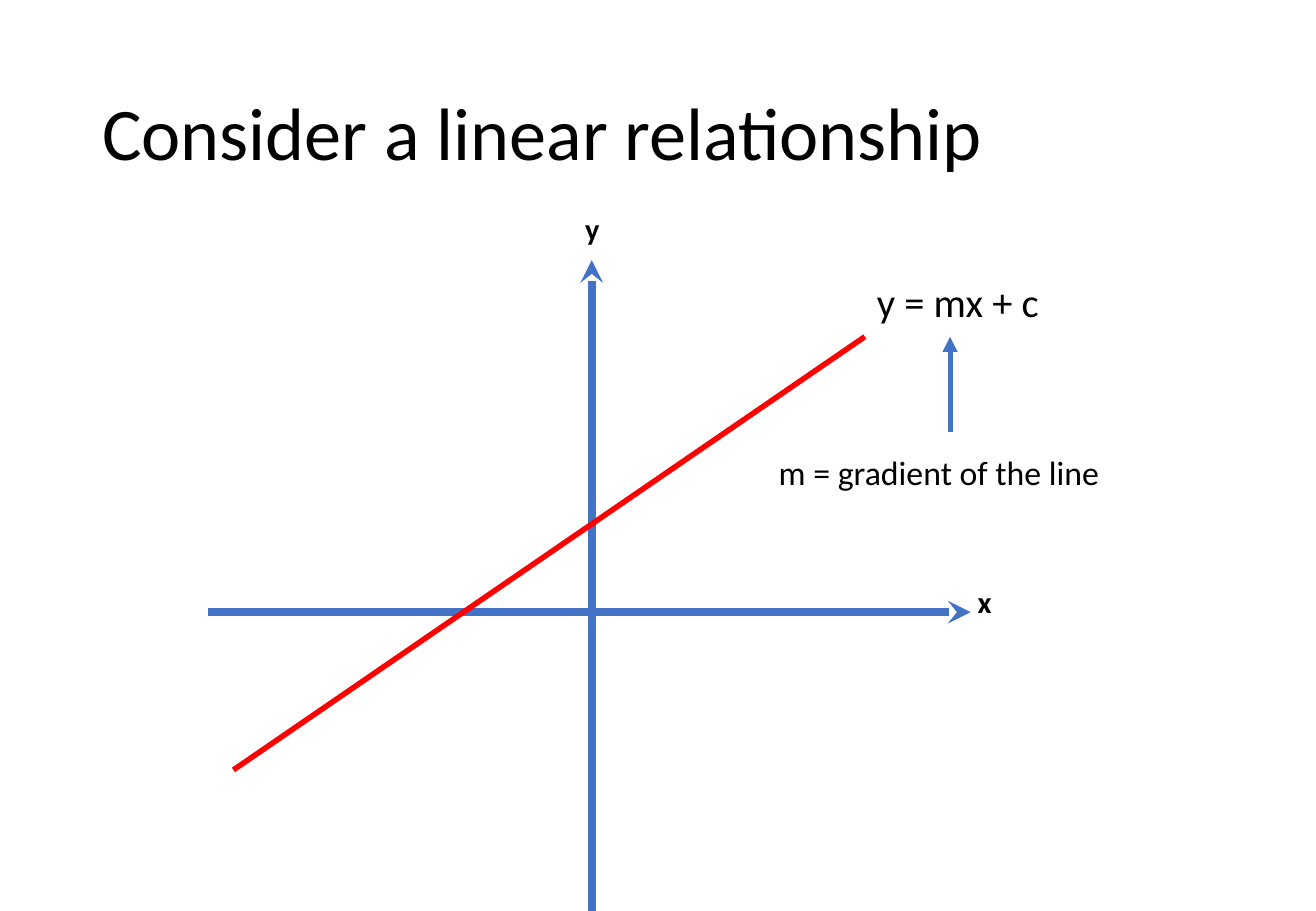
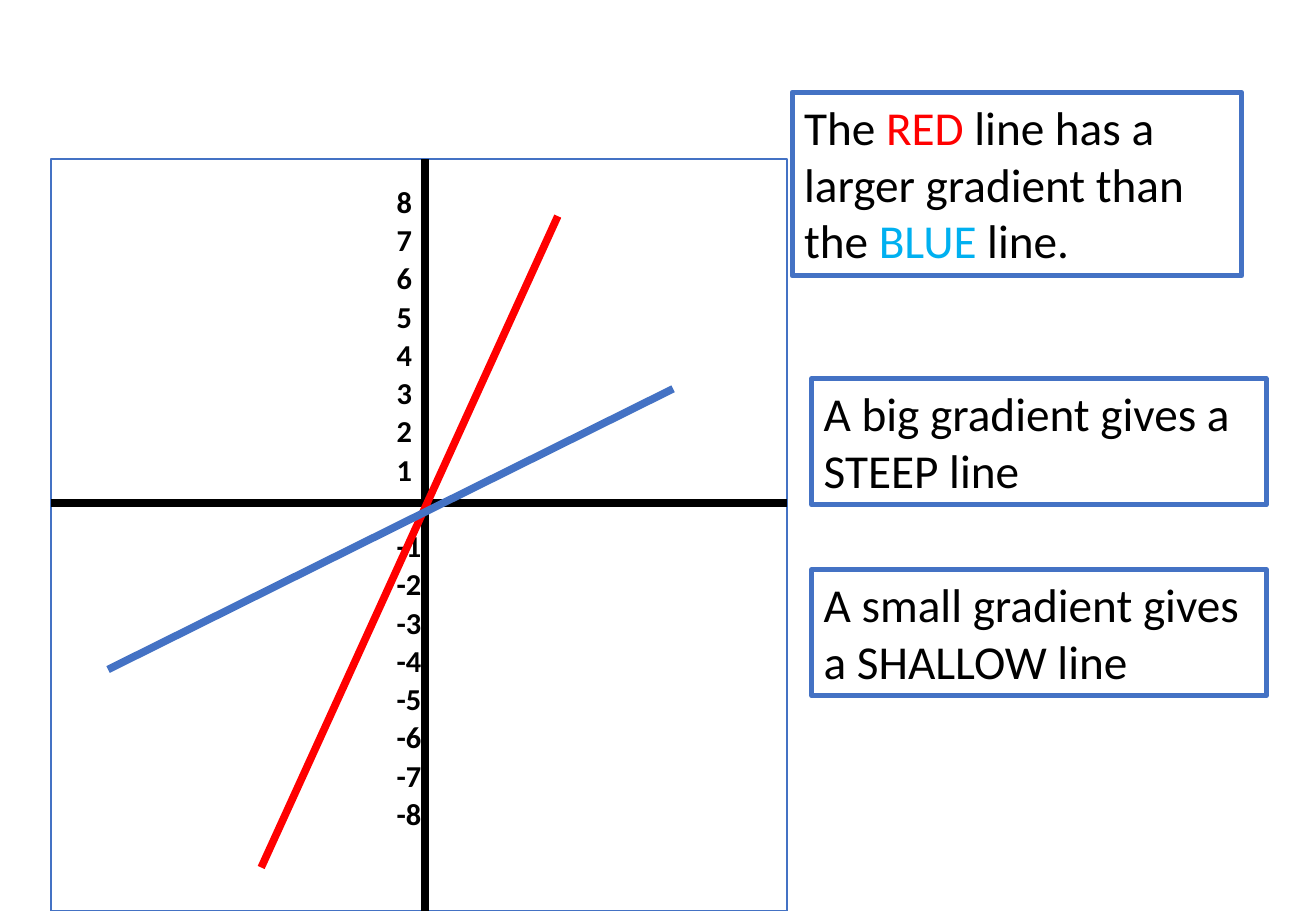
from lxml import etree
from pptx import Presentation
from pptx.dml.color import RGBColor
from pptx.enum.shapes import MSO_CONNECTOR, MSO_SHAPE
from pptx.enum.text import MSO_ANCHOR, PP_ALIGN
from pptx.oxml.ns import qn
from pptx.util import Cm, Pt

STRAIGHT = MSO_CONNECTOR.STRAIGHT
RECTANGLE = MSO_SHAPE.RECTANGLE
MIDDLE = MSO_ANCHOR.MIDDLE
LEFT, CENTER = PP_ALIGN.LEFT, PP_ALIGN.CENTER
TITLE_ONLY, BLANK = 5, 6

FONT = "Calibri"
BLACK, WHITE, RED = "000000", "FFFFFF", "FF0000"
BLUE, SKY = "4472C4", "00B0F0"

# Content; all lengths in centimetres
SLIDE_WIDTH, SLIDE_HEIGHT = 27.51, 19.05
TITLE = "Consider a linear relationship"
TITLE_AREA = (1.88, 1.02, 23.72, 3.68)

# start, end, colour, width in points, arrowhead
LINEAR_LINES = [
    ((12.37, SLIDE_HEIGHT), (12.37, 5.44), BLUE, 4.5, "stealth"),
    ((4.34, 12.8), (20.29, 12.8), BLUE, 4.5, "stealth"),
    ((4.88, 16.1), (18.08, 7.04), RED, 3.25, None),
    ((19.86, 9.04), (19.86, 7.04), BLUE, 3, "triangle"),
]
# text, area, size, bold, alignment
LINEAR_LABELS = [
    ("y", (11.66, 4.27, 1.45, 1.37), 18, True, CENTER),
    ("x", (19.86, 12.06, 1.45, 1.37), 18, True, CENTER),
    ("y = mx + c", (18.08, 5.66, 3.94, 1.27), 24, False, LEFT),
    ("m = gradient of the line", (16.03, 9.32, 7.72, 1.12), 20, False, LEFT),
]

GRAPH_AREA = (1.07, 3.33, 15.39, 15.72)
ORIGIN = (8.89, 10.52)
GRADIENT_LINES = [
    ((5.46, 18.14), (11.66, 4.52), RED, 4.5, None),
    ((2.26, 14), (14.07, 8.13), BLUE, 4.5, None),
]
TICK_MAX, TICK_STEP, TICK_ZERO_TOP = 8, 0.8, 10.1
TICK_LEFT = 8.04

# coloured spans, area
NOTES = [
    ([("The ", BLACK), ("RED", RED), (" line has a larger gradient than the ", BLACK),
      ("BLUE", SKY), (" line.", BLACK)], (16.56, 1.93, 9.4, 3.84)),
    ([("A big gradient gives a STEEP line", BLACK)], (16.97, 7.92, 9.5, 2.64)),
    ([("A small gradient gives a SHALLOW line", BLACK)], (16.97, 11.91, 9.5, 2.64)),
]


def colour(value):
    return RGBColor.from_string(value)


def lengths(values):
    return [Cm(value) for value in values]


def format_span(span, size, shade=BLACK, bold=False):
    span.font.name = FONT
    span.font.size = Pt(size)
    span.font.bold = bold
    span.font.color.rgb = colour(shade)


def outline(shape, shade, width):
    shape.line.color.rgb = colour(shade)
    shape.line.width = Pt(width)


def paint(shape, width):
    shape.fill.solid()
    shape.fill.fore_color.rgb = colour(WHITE)
    outline(shape, BLUE, width)


def add_line(page, start, end, shade, width, arrowhead=None):
    line = page.shapes.add_connector(STRAIGHT, *lengths(start + end))
    outline(line, shade, width)
    if arrowhead:
        etree.SubElement(line.line._get_or_add_ln(), qn("a:tailEnd"), type=arrowhead)
    etree.SubElement(line._element.spPr, qn("a:effectLst"))


def add_text(page, spans, area, size, bold=False, alignment=LEFT, wrap=True):
    box = page.shapes.add_textbox(*lengths(area))
    box.text_frame.word_wrap = wrap
    para = box.text_frame.paragraphs[0]
    para.alignment = alignment
    for text, shade in spans:
        span = para.add_run()
        span.text = text
        format_span(span, size, shade, bold)
    return box


def set_title(page, text):
    title = page.shapes.title
    title.left, title.top, title.width, title.height = lengths(TITLE_AREA)
    title.text_frame.text = text
    title.text_frame.vertical_anchor = MIDDLE
    para = title.text_frame.paragraphs[0]
    para.alignment = LEFT
    para.line_spacing = 0.9
    format_span(para.runs[0], 44)


def build_linear_page(deck):
    page = deck.slides.add_slide(deck.slide_layouts[TITLE_ONLY])
    set_title(page, TITLE)
    for line in LINEAR_LINES:
        add_line(page, *line)
    for text, area, size, bold, alignment in LINEAR_LABELS:
        add_text(page, [(text, BLACK)], area, size, bold, alignment)


def build_gradient_page(deck):
    page = deck.slides.add_slide(deck.slide_layouts[BLANK])

    # Graph frame and axes
    frame = page.shapes.add_shape(RECTANGLE, *lengths(GRAPH_AREA))
    frame.shadow.inherit = False
    paint(frame, 1)
    left, top, width, height = GRAPH_AREA
    x, y = ORIGIN
    add_line(page, (x, top), (x, top + height), BLACK, 4.5)
    add_line(page, (left, y), (left + width, y), BLACK, 4.5)

    # Tick labels, skipping the origin
    for value in range(-TICK_MAX, TICK_MAX + 1):
        if value:
            area = (TICK_LEFT, TICK_ZERO_TOP - value * TICK_STEP,
                    0.84 if value > 0 else 1.04, 1.02)
            add_text(page, [(str(value), BLACK)], area, 18, bold=True, wrap=False)

    # Sloping lines and notes
    for line in GRADIENT_LINES:
        add_line(page, *line)
    for spans, area in NOTES:
        paint(add_text(page, spans, area, 28), 3)


def main():
    deck = Presentation()
    deck.slide_width, deck.slide_height = lengths((SLIDE_WIDTH, SLIDE_HEIGHT))
    build_linear_page(deck)
    build_gradient_page(deck)
    deck.save("out.pptx")


if __name__ == "__main__":
    main()
